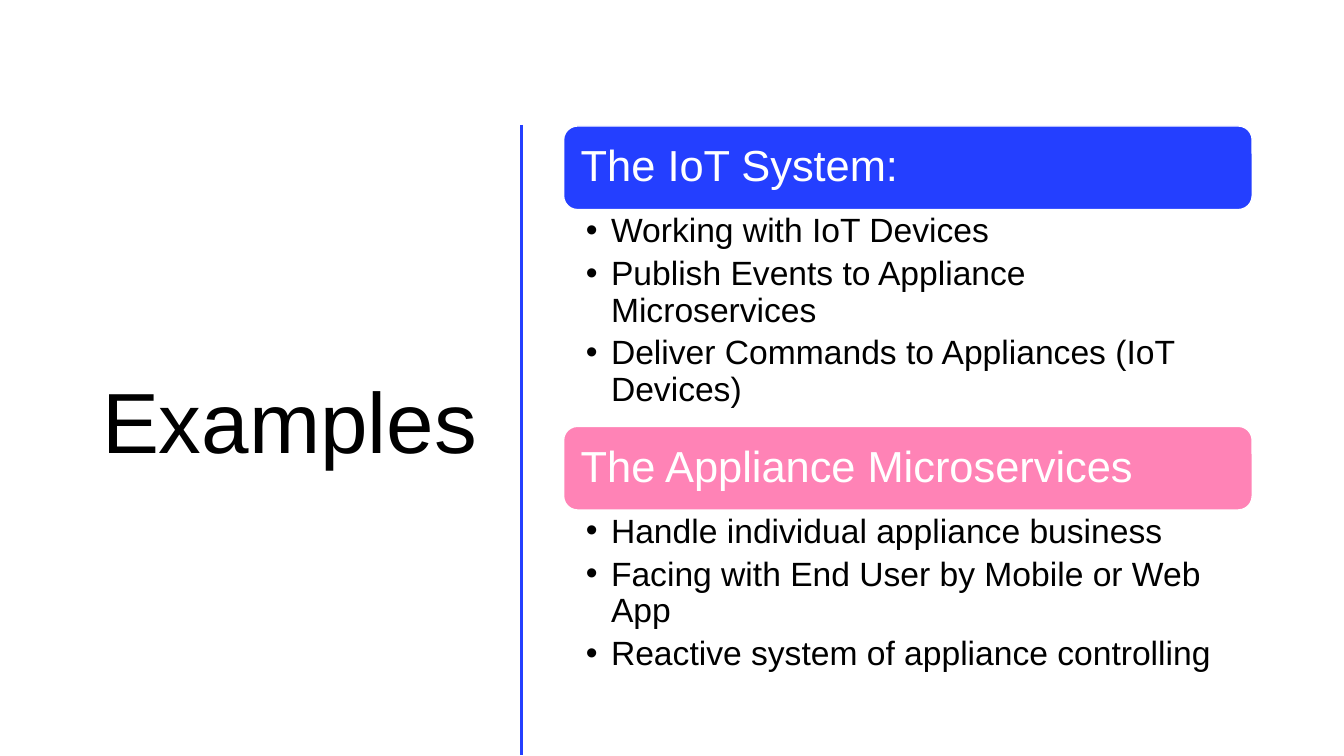
from lxml import etree
from pptx import Presentation
from pptx.dml.color import RGBColor
from pptx.enum import shapes, text
from pptx.oxml.ns import qn
from pptx.util import Inches, Pt

HUES = {"blue": "243FFF", "pink": "FF83B6", "white": "FFFFFF", "black": "000000"}
LEFT, WIDTH, BAR = 5.59, 6.83, 0.83
TOP, STEP = 1.25, 2.98

GROUPS = [
    ("The IoT System:", "blue", [
        "Working with IoT Devices",
        "Publish Events to Appliance Microservices",
        "Deliver Commands to Appliances (IoT Devices)",
    ]),
    ("The Appliance Microservices", "pink", [
        "Handle individual appliance business",
        "Facing with End User by Mobile or Web App",
        "Reactive system of appliance controlling",
    ]),
]


def hue(name):
    return RGBColor.from_string(HUES[name])


def place(shape, left, top, width, height):
    shape.left, shape.top = Inches(left), Inches(top)
    shape.width, shape.height = Inches(width), Inches(height)


def style(para, size, color):
    para.line_spacing = 0.9
    para.space_before = Pt(0)
    para.font.name = "Arial"
    para.font.size = Pt(size)
    para.font.color.rgb = hue(color)


def set_frame(frame, anchor, left, top, right, bottom):
    frame.word_wrap = True
    frame.auto_size = text.MSO_AUTO_SIZE.NONE
    frame.vertical_anchor = anchor
    frame.margin_left, frame.margin_top = Inches(left), Inches(top)
    frame.margin_right, frame.margin_bottom = Inches(right), Inches(bottom)


def add_bullet(para):
    props = para._p.get_or_add_pPr()
    props.set("marL", str(Inches(0.25)))
    props.set("indent", str(Inches(-0.25)))
    etree.SubElement(props, qn("a:buChar")).set("char", "•")


def set_title(title, words):
    place(title, 0.52, 1.17, 4.31, 6.11)
    frame = title.text_frame
    set_frame(frame, text.MSO_ANCHOR.MIDDLE, 0.1, 0.05, 0.1, 0.05)
    frame.text = words
    para = frame.paragraphs[0]
    para.alignment = text.PP_ALIGN.RIGHT
    style(para, 61, "black")


def add_rule(slide):
    line = slide.shapes.add_connector(
        shapes.MSO_CONNECTOR.STRAIGHT,
        Inches(5.17), Inches(1.24), Inches(5.17), Inches(7.49))
    line.line.color.rgb = hue("blue")
    line.line.width = Pt(2)
    etree.SubElement(line._element.spPr, qn("a:effectLst"))


def add_bar(slide, words, color, top):
    bar = slide.shapes.add_shape(
        shapes.MSO_SHAPE.ROUNDED_RECTANGLE,
        Inches(LEFT), Inches(top), Inches(WIDTH), Inches(BAR))
    bar.shadow.inherit = False
    bar.fill.solid()
    bar.fill.fore_color.rgb = hue(color)
    bar.line.color.rgb = hue("white")
    bar.line.width = Pt(1)
    frame = bar.text_frame
    set_frame(frame, text.MSO_ANCHOR.MIDDLE, 0.13, 0.13, 0.13, 0.13)
    frame.text = words
    para = frame.paragraphs[0]
    para.alignment = text.PP_ALIGN.LEFT
    style(para, 31, "white")


def fill_list(body, items, top):
    place(body, LEFT, top, WIDTH, 2.14)
    frame = body.text_frame
    set_frame(frame, text.MSO_ANCHOR.TOP, 0.22, 0.04, 0.24, 0.04)
    frame.text = "\n".join(items)
    for para in frame.paragraphs:
        para.level = 1
        add_bullet(para)
        style(para, 24, "black")
        para.space_after = Pt(4.8)


def main():
    deck = Presentation()
    deck.slide_width, deck.slide_height = Inches(13.33), Inches(7.5)
    slide = deck.slides.add_slide(deck.slide_layouts.get_by_name("Two Content"))
    title, *lists = slide.placeholders
    set_title(title, "Examples")
    add_rule(slide)
    for i, (head, color, items) in enumerate(GROUPS):
        top = TOP + i * STEP
        add_bar(slide, head, color, top)
        fill_list(lists[i], items, top + BAR)
    deck.save("out.pptx")


if __name__ == "__main__":
    main()
